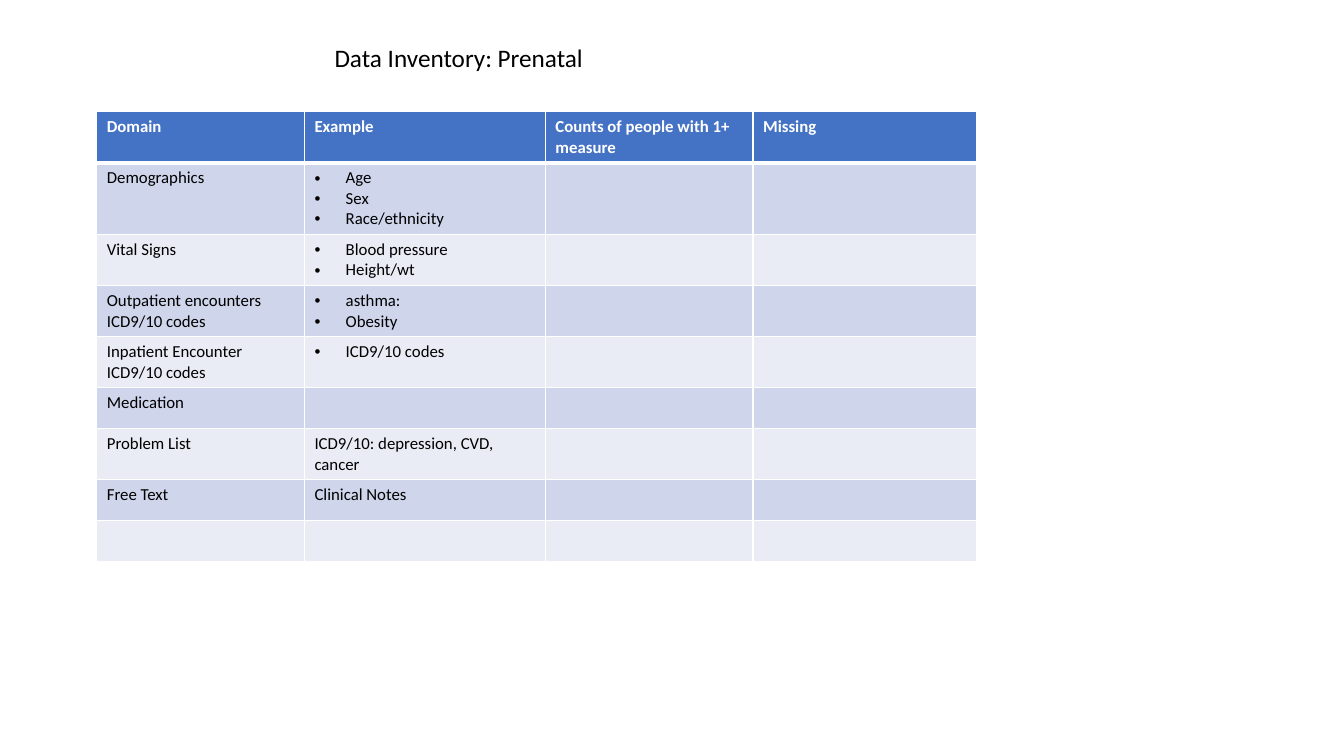
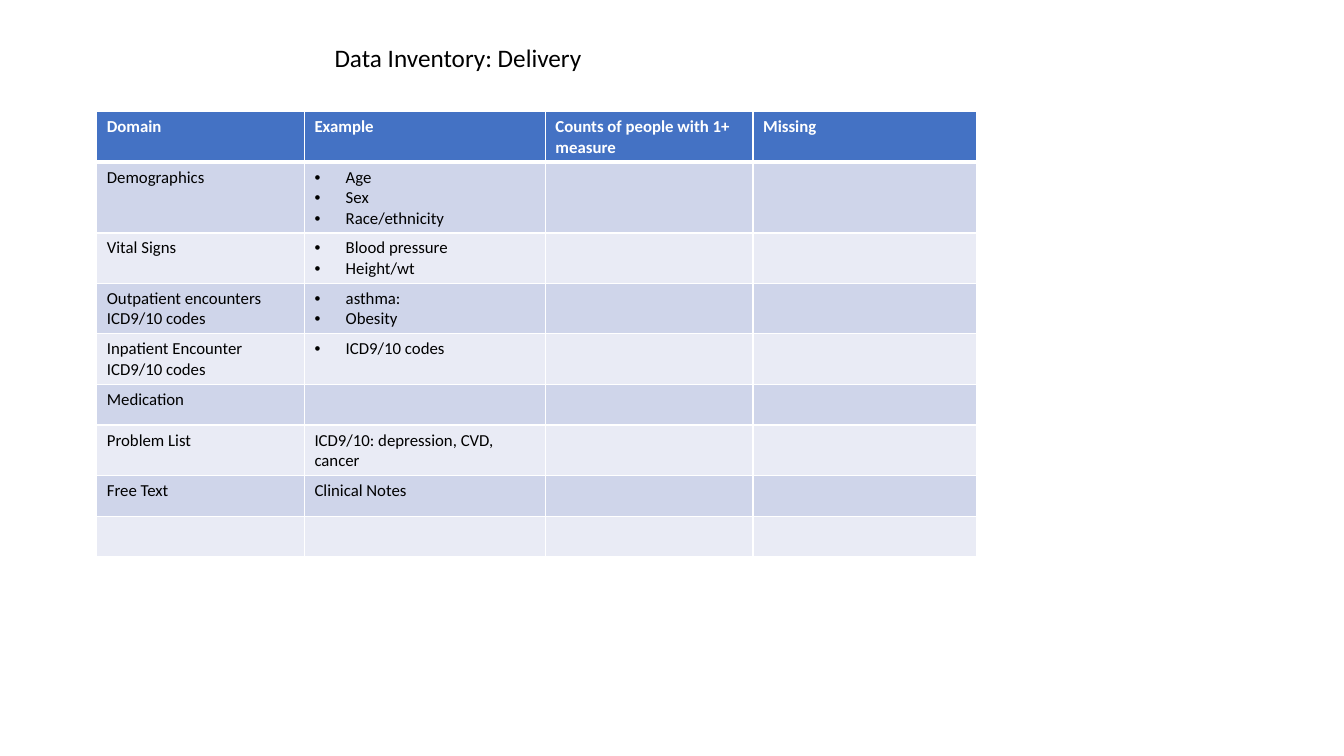
from lxml import etree
from pptx import Presentation
from pptx.dml.color import RGBColor
from pptx.enum.text import MSO_AUTO_SIZE
from pptx.oxml.ns import qn
from pptx.util import Inches, Pt

FIT_SHAPE = MSO_AUTO_SIZE.SHAPE_TO_FIT_TEXT
FONT = "Calibri"
COLORS = {
    "header": "4472C4",
    "odd_row": "CFD5EA",
    "even_row": "E9EBF5",
    "border": "FFFFFF",
    "header_text": "FFFFFF",
    "text": "000000",
}

presentation = Presentation()
presentation.slide_width = Inches(13.33)
presentation.slide_height = Inches(7.5)
blank_layout = presentation.slide_layouts[6]

# Lengths are percentages of the slide's width and height
across = presentation.slide_width / 100
down = presentation.slide_height / 100
column_widths = [15.45, 17.93, 15.45, 16.65]
row_height = 5.4
bullet_indent = Inches(0.31)

# Content: domain lines, example lines, whether the examples are bulleted
titles = ["Data Inventory: Prenatal", "Data Inventory: Delivery"]
headers = ["Domain", "Example", "Counts of people with 1+ measure", "Missing"]
domains = [
    (["Demographics"], ["Age", "Sex", "Race/ethnicity"], True),
    (["Vital Signs"], ["Blood pressure", "Height/wt"], True),
    (["Outpatient encounters", "ICD9/10 codes"], ["asthma:", "Obesity"], True),
    (["Inpatient Encounter", "ICD9/10 codes"], ["ICD9/10 codes"], True),
    (["Medication"], [], False),
    (["Problem List"], ["ICD9/10: depression, CVD, cancer"], False),
    (["Free Text"], ["Clinical Notes"], False),
    ([], [], False),
]
table_rows = [[[header] for header in headers]]
table_rows += [[domain, examples, [], []] for domain, examples, _ in domains]
bulleted_rows = {number for number, domain in enumerate(domains, 1) if domain[2]}


def write_lines(text_frame, lines, size, color, bold=False, bulleted=False):
    for index, line in enumerate(lines):
        paragraph = text_frame.add_paragraph() if index else text_frame.paragraphs[0]
        if bulleted:
            properties = paragraph._p.get_or_add_pPr()
            properties.set("marL", str(bullet_indent))
            properties.set("indent", str(-bullet_indent))
            etree.SubElement(properties, qn("a:buFont"), typeface="Arial")
            etree.SubElement(properties, qn("a:buChar"), char="•")
        run = paragraph.add_run()
        run.text = line
        run.font.name = FONT
        run.font.size = Pt(size)
        run.font.bold = bold
        run.font.color.rgb = RGBColor.from_string(COLORS[color])


def style_cell(cell, fill, top_width, bottom_width):
    # Borders come before the fill in the cell properties
    properties = cell._tc.get_or_add_tcPr()
    widths = {"lnL": 1, "lnR": 1, "lnT": top_width, "lnB": bottom_width}
    for side, width in widths.items():
        line = etree.SubElement(properties, qn(f"a:{side}"), w=str(Pt(width)))
        solid = etree.SubElement(line, qn("a:solidFill"))
        etree.SubElement(solid, qn("a:srgbClr"), val=COLORS["border"])
    cell.fill.solid()
    cell.fill.fore_color.rgb = RGBColor.from_string(COLORS[fill])


for title in titles:
    slide = presentation.slides.add_slide(blank_layout)

    # Inventory table
    table = slide.shapes.add_table(
        len(table_rows), len(headers),
        int(7.2 * across), int(14.8 * down),
        int(sum(column_widths) * across), int(len(table_rows) * row_height * down),
    ).table
    for column, width in zip(table.columns, column_widths):
        column.width = int(width * across)

    for row_number, row in enumerate(table_rows):
        table.rows[row_number].height = int(row_height * down)
        is_header = row_number == 0
        if is_header:
            fill = "header"
        else:
            fill = "odd_row" if row_number % 2 else "even_row"
        for column_number, lines in enumerate(row):
            cell = table.cell(row_number, column_number)
            style_cell(cell, fill, 3 if row_number == 1 else 1, 3 if is_header else 1)
            write_lines(
                cell.text_frame, lines, 12,
                "header_text" if is_header else "text",
                bold=is_header,
                bulleted=column_number == 1 and row_number in bulleted_rows,
            )

    # Title
    title_box = slide.shapes.add_textbox(
        int(24.15 * across), int(4.93 * down), int(22.35 * across), int(row_height * down)
    )
    title_box.text_frame.word_wrap = True
    title_box.text_frame.auto_size = FIT_SHAPE
    write_lines(title_box.text_frame, [title], 18, "text")

presentation.save("out.pptx")
